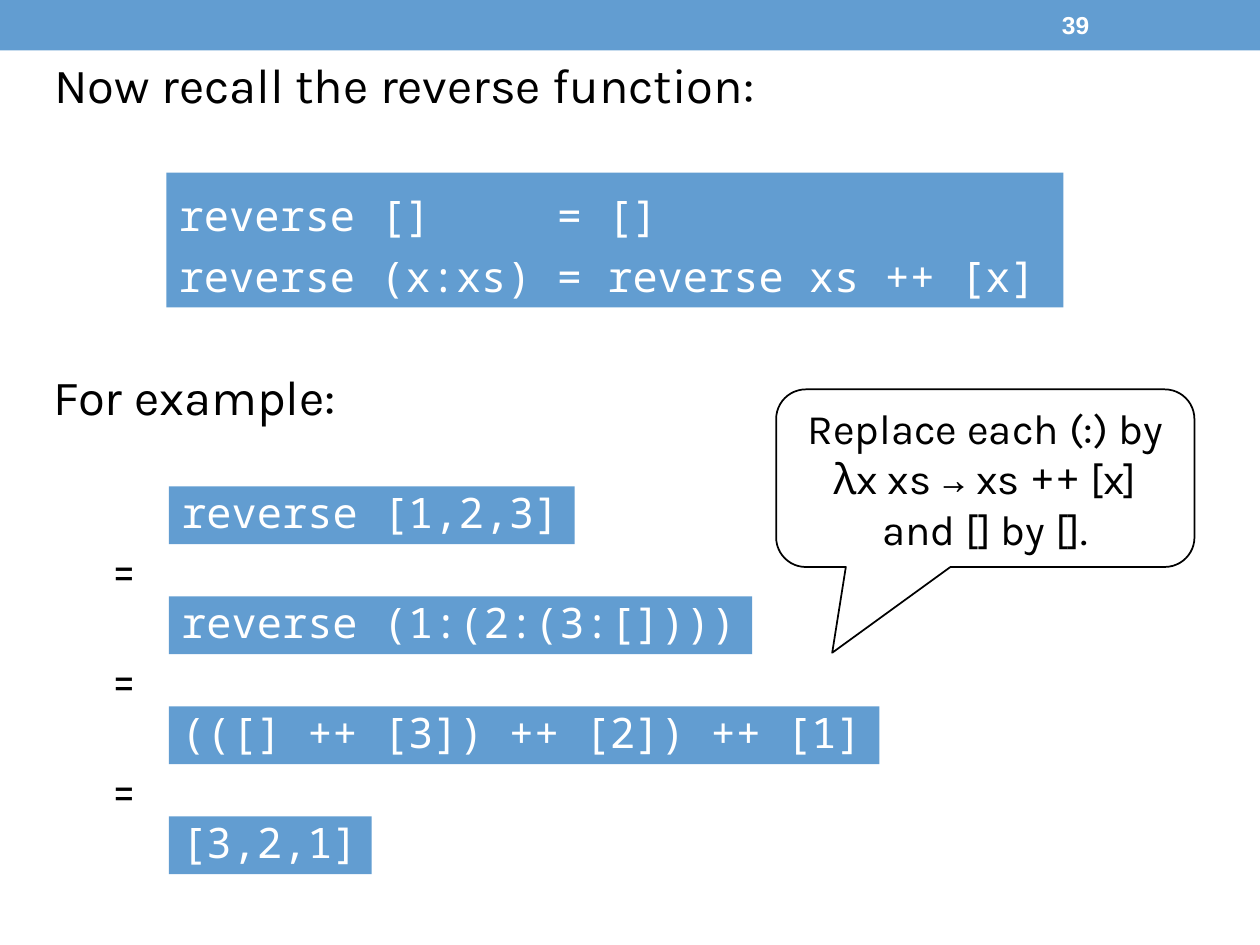
"""Build a slide that evaluates the reverse function step by step."""
from dataclasses import dataclass

from lxml import etree
from pptx import Presentation
from pptx import util as u
from pptx.dml.color import RGBColor
from pptx.enum import shapes, text


@dataclass(frozen=True)
class Theme:
    """Colours, fonts and type sizes of the slide."""
    blue: RGBColor = RGBColor(0x62, 0x9D, 0xD1)
    black: RGBColor = RGBColor(0, 0, 0)
    white: RGBColor = RGBColor(255, 255, 255)
    prose: str = "Karla"
    code: str = "Noto Sans Mono"
    number: str = "Arial"
    heading_size: int = 28
    body_size: int = 24
    number_size: int = 14


THEME = Theme()
LEFT, CENTER = text.PP_ALIGN.LEFT, text.PP_ALIGN.CENTER


def box(*inches):
    """Convert left, top, width and height to lengths."""
    return [u.Inches(n) for n in inches]


def write(sp, lines, font, size, color, align=LEFT, wrap=False, spacing=None):
    """Write one uniformly formatted paragraph per line."""
    tf = sp.text_frame
    tf.word_wrap = wrap
    tf.vertical_anchor = text.MSO_ANCHOR.MIDDLE
    tf.text = "\n".join(lines)
    for p in tf.paragraphs:
        p.alignment = align
        p.line_spacing = spacing
        p.font.name, p.font.size = font, u.Pt(size)
        p.font.color.rgb = color


def add_label(parent, place, content, align=LEFT):
    """Add a heading-sized line of prose."""
    sp = parent.add_textbox(*box(*place))
    write(sp, [content], THEME.prose, THEME.heading_size, THEME.black, align)


def add_bar(parent, place):
    """Add a plain blue rectangle."""
    sp = parent.add_shape(shapes.MSO_SHAPE.RECTANGLE, *box(*place))
    sp.shadow.inherit = False
    sp.fill.solid()
    sp.fill.fore_color.rgb = THEME.blue
    sp.line.fill.background()
    return sp


def add_code(parent, place, lines, spacing=0.9):
    """Add a blue box of code."""
    sp = add_bar(parent, place)
    write(sp, lines, THEME.code, THEME.body_size, THEME.white, spacing=spacing)


def add_header(s):
    """Add the top band, the slide number and the title."""
    add_bar(s.shapes, (0, 0, 10, 0.4))
    number = s.shapes.add_textbox(*box(8.33, 0.02, 1.17, 0.36))
    write(number, ["39"], THEME.number, THEME.number_size, THEME.white)
    number.text_frame.paragraphs[0].font.bold = True
    title = s.shapes.title
    title.left, title.top, title.width, title.height = box(0.33, 0.38, 8.97, 0.57)
    write(title, ["Now recall the reverse function:"], THEME.prose,
          THEME.heading_size, THEME.black, wrap=True)
    title.text_frame.auto_size = text.MSO_AUTO_SIZE.NONE


def add_steps(s, steps, top=3.86, pitch=0.873):
    """Stack the evaluation steps, joining each to the last by an equals sign."""
    for i, (code, width) in enumerate(steps):
        y = top + i * pitch
        parent = s.shapes.add_group_shape().shapes if i else s.shapes
        add_code(parent, (1.34, y, width, 0.46), [code])
        if i:
            add_label(parent, (0.75, y - 0.52, 0.48, 0.57), "=", CENTER)


def add_callout(s, place, runs):
    """Add a rounded speech callout with text in mixed fonts."""
    sp = s.shapes.add_shape(shapes.MSO_SHAPE.ROUNDED_RECTANGULAR_CALLOUT, *box(*place))
    sp.shadow.inherit = False
    sp.fill.background()
    sp.line.color.rgb, sp.line.width = THEME.black, u.Pt(1)
    for i, value in enumerate((-0.366, 0.983, 0.167)):
        sp.adjustments[i] = value
    write(sp, [""], THEME.prose, THEME.body_size, THEME.black, CENTER, wrap=True)
    for content, font in runs:
        r = sp.text_frame.paragraphs[0].add_run()
        r.text, r.font.name = content, font
        r.font.size, r.font.color.rgb = u.Pt(THEME.body_size), THEME.black


def main():
    """Assemble and save the slide."""
    prs = Presentation()
    prs.slide_width, prs.slide_height = u.Inches(10), u.Inches(7.5)
    s = prs.slides.add_slide(prs.slide_layouts.get_by_name("Title Only"))
    add_header(s)
    add_code(s.shapes, (1.32, 1.37, 7.12, 1.07),
             ["reverse []     = []", "reverse (x:xs) = reverse xs ++ [x]"], 1.2)
    add_steps(s, [("reverse [1,2,3]", 3.22), ("reverse (1:(2:(3:[])))", 4.63),
                  ("(([] ++ [3]) ++ [2]) ++ [1]", 5.64), ("[3,2,1]", 1.61)])
    add_label(s.shapes, (0.33, 2.86, 2.45, 0.57), "For example:")
    add_callout(s, (6.16, 3.09, 3.32, 1.41),
                [("Replace each (:) by λx xs ", THEME.prose), ("→", THEME.code),
                 (" xs ", THEME.prose), ("++", THEME.code),
                 (" [x] and [] by [].", THEME.prose)])
    prs.save("out.pptx")


if __name__ == "__main__":
    main()
